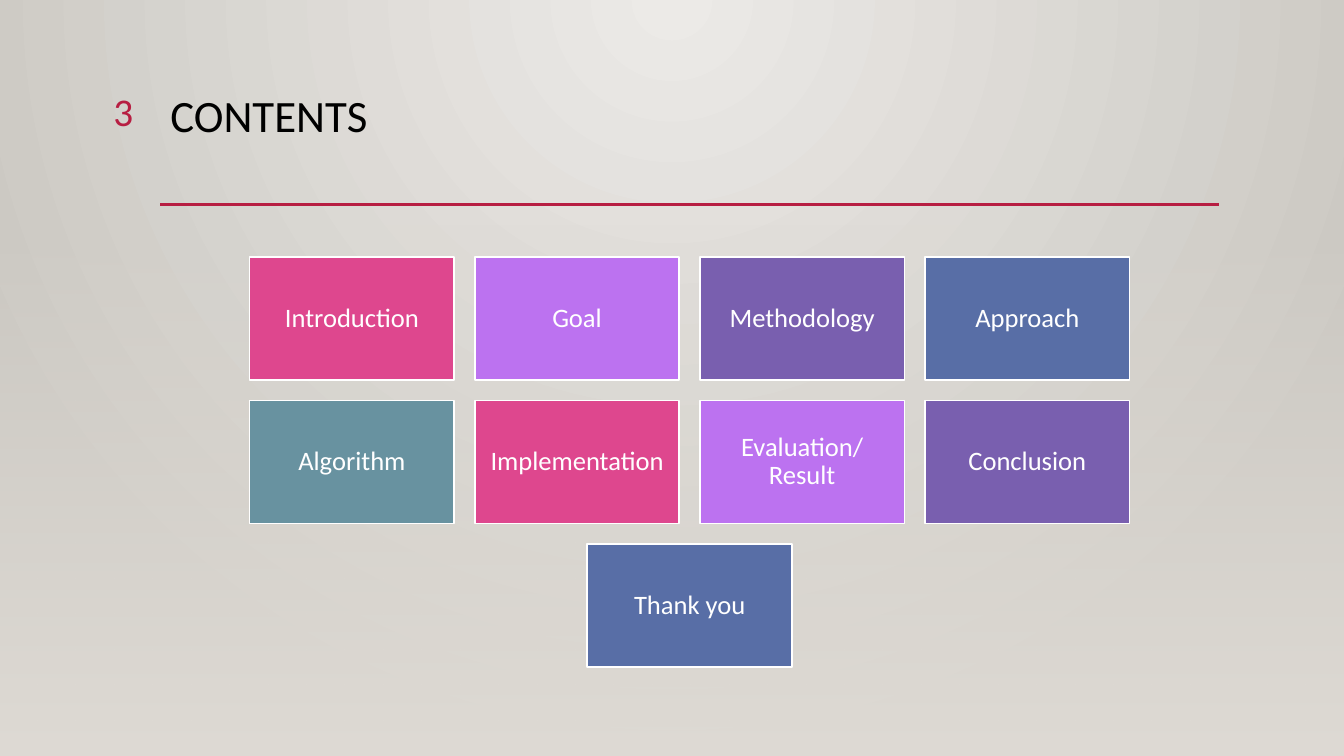
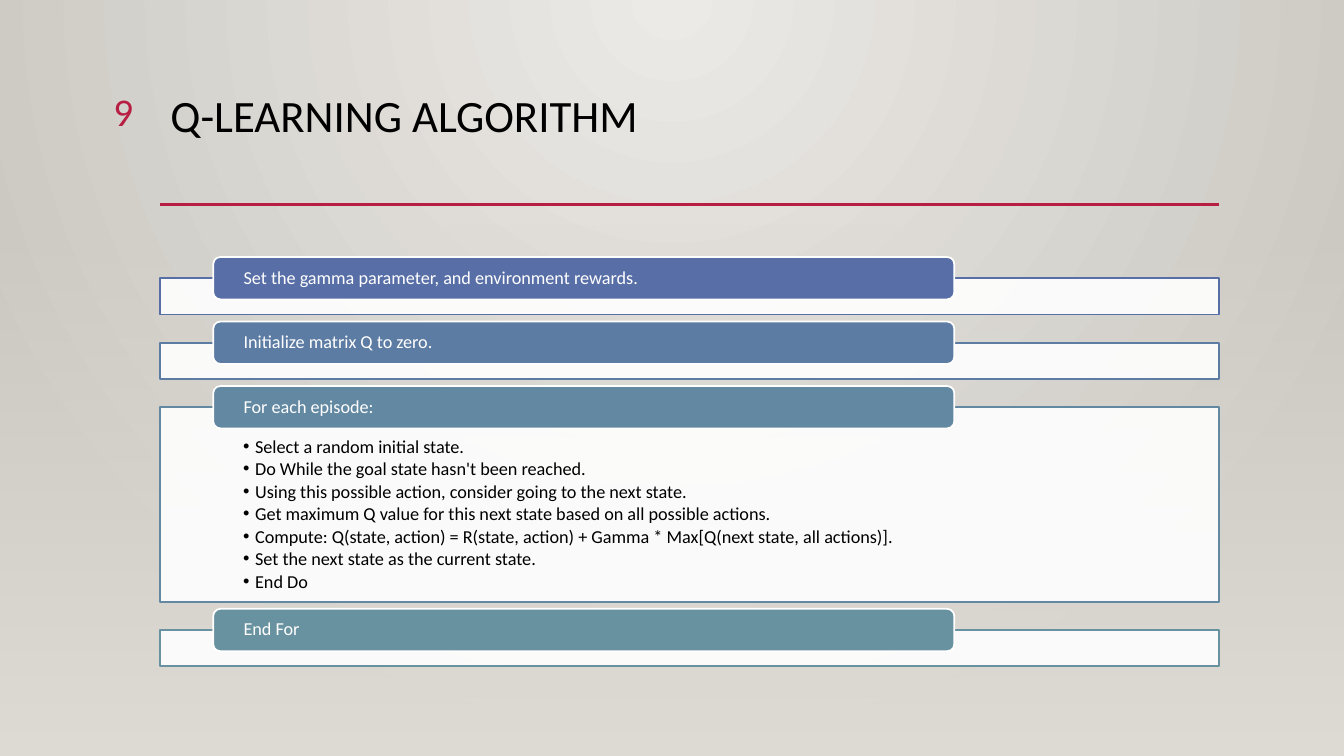
from lxml import etree
from pptx import Presentation
from pptx.dml.color import RGBColor
from pptx.enum.shapes import MSO_CONNECTOR, MSO_SHAPE
from pptx.enum.text import MSO_ANCHOR, MSO_AUTO_SIZE, PP_ALIGN
from pptx.oxml.ns import qn
from pptx.util import Inches, Pt

LEFT, CENTER, RIGHT = PP_ALIGN.LEFT, PP_ALIGN.CENTER, PP_ALIGN.RIGHT
TOP, MIDDLE = MSO_ANCHOR.TOP, MSO_ANCHOR.MIDDLE
NO_AUTOFIT = MSO_AUTO_SIZE.NONE
RECTANGLE, ROUNDED = MSO_SHAPE.RECTANGLE, MSO_SHAPE.ROUNDED_RECTANGLE
STRAIGHT = MSO_CONNECTOR.STRAIGHT

FONT = "Calibri"
BLACK = RGBColor(0x00, 0x00, 0x00)
WHITE = RGBColor(0xFF, 0xFF, 0xFF)
CRIMSON = RGBColor(0xB7, 0x1E, 0x42)
PALE = RGBColor(0xEC, 0xEA, 0xE7)
STONE = RGBColor(0xCA, 0xC7, 0xC1)
SAND = RGBColor(0xDF, 0xDB, 0xD5)
PINK = RGBColor(0xDE, 0x47, 0x8E)
VIOLET = RGBColor(0xBC, 0x72, 0xF0)
PURPLE = RGBColor(0x79, 0x5F, 0xAF)
BLUE = RGBColor(0x58, 0x6E, 0xA6)
STEEL = RGBColor(0x5D, 0x7C, 0xA4)
SLATE = RGBColor(0x63, 0x88, 0xA2)
TEAL = RGBColor(0x68, 0x92, 0xA0)

# Shared grid, in inches
SLIDE_W, SLIDE_H = 13.33, 7.5
MARGIN, CONTENT_W = 1.59, 10.5
RULE_Y, BAND_TOP, CONTENT_TOP = 2.03, 2.21, 2.55


def write(shape, lines, size, color, align=LEFT, anchor=TOP, inset=(0.1, 0.05), after=0):
    """Fill a shape with one paragraph per line; inset is (side, top and bottom)."""
    frame = shape.text_frame
    frame.word_wrap = True
    frame.auto_size = NO_AUTOFIT
    frame.vertical_anchor = anchor
    frame.margin_left = frame.margin_right = Inches(inset[0])
    frame.margin_top = frame.margin_bottom = Inches(inset[1])
    for index, line in enumerate(lines):
        para = frame.add_paragraph() if index else frame.paragraphs[0]
        para.alignment = align
        para.line_spacing = 0.9
        para.space_before, para.space_after = Pt(0), Pt(after)
        span = para.add_run()
        span.text = line
        span.font.name, span.font.size = FONT, Pt(size)
        span.font.color.rgb = color


def paint(shape, fill, line, opacity=100):
    shape.fill.solid()
    shape.fill.fore_color.rgb = fill
    shape.line.color.rgb = line
    shape.line.width = Pt(1.25)
    shape.shadow.inherit = False
    if opacity < 100:
        color = shape._element.spPr.find(qn("a:solidFill"))[0]
        etree.SubElement(color, qn("a:alpha"), val=str(opacity * 1000))


deck = Presentation()
deck.slide_width, deck.slide_height = Inches(SLIDE_W), Inches(SLIDE_H)
master = deck.slide_master

# Master background: light radiating from the top centre
glow = master.background.fill
glow.gradient()
for stop, color in zip(glow.gradient_stops, (PALE, STONE)):
    stop.color.rgb = color
gradient = master.background._cSld.find(".//" + qn("a:gradFill"))
gradient.remove(gradient.find(qn("a:lin")))
radial = etree.SubElement(gradient, qn("a:path"))
radial.set("path", "circle")
etree.SubElement(radial, qn("a:fillToRect"), l="43000", t="0", r="43000", b="100000")

# Slides with their title and number
pages = []
for layout_index, number, title in ((5, "3", "CONTENTS"), (1, "9", "Q-LEARNING ALGORITHM")):
    page = deck.slides.add_slide(deck.slide_layouts[layout_index])
    heading = page.shapes.title
    heading.left, heading.top = Inches(MARGIN), Inches(0.88)
    heading.width, heading.height = Inches(CONTENT_W), Inches(1.15)
    write(heading, [title], 32, BLACK)
    number_box = page.shapes.add_textbox(Inches(0.53), Inches(0.87), Inches(0.89), Inches(0.55))
    write(number_box, [number], 28, CRIMSON, RIGHT)
    pages.append(page)
contents, algorithm = pages

# Band and rule, drawn once and moved to the master behind its placeholders
band = contents.shapes.add_shape(
    RECTANGLE, 0, Inches(BAND_TOP), Inches(SLIDE_W), Inches(SLIDE_H - BAND_TOP))
band.shadow.inherit = False
band.line.fill.background()
band.fill.gradient()
band.fill.gradient_angle = 270
for stop in band.fill.gradient_stops:
    stop.color.rgb = SAND
first_color = band._element.spPr.find(".//" + qn("a:srgbClr"))
etree.SubElement(first_color, qn("a:alpha"), val="0")

rule = contents.shapes.add_connector(
    STRAIGHT, Inches(MARGIN), Inches(RULE_Y), Inches(MARGIN + CONTENT_W), Inches(RULE_Y))
rule.line.color.rgb = CRIMSON
rule.line.width = Pt(2.5)
etree.SubElement(rule._element.spPr, qn("a:effectLst"))
for position, shape in enumerate((band, rule), start=2):
    master.shapes._spTree.insert(position, shape._element)

# Contents: centred rows of topic boxes, colours in rotation
TOPIC_ROWS = (
    ("Introduction", "Goal", "Methodology", "Approach"),
    ("Algorithm", "Implementation", "Evaluation/Result", "Conclusion"),
    ("Thank you",),
)
TOPIC_COLORS = (PINK, VIOLET, PURPLE, BLUE, TEAL)
TOPIC_W, TOPIC_H = 2.03, 1.22
TOPIC_GAP = TOPIC_W / 10
topic_count = 0
for row, topics in enumerate(TOPIC_ROWS):
    row_w = len(topics) * (TOPIC_W + TOPIC_GAP) - TOPIC_GAP
    row_left = MARGIN + (CONTENT_W - row_w) / 2
    row_top = CONTENT_TOP + row * (TOPIC_H + TOPIC_GAP)
    for column, topic in enumerate(topics):
        box = contents.shapes.add_shape(
            RECTANGLE, Inches(row_left + column * (TOPIC_W + TOPIC_GAP)), Inches(row_top),
            Inches(TOPIC_W), Inches(TOPIC_H))
        paint(box, TOPIC_COLORS[topic_count % len(TOPIC_COLORS)], WHITE)
        write(box, [topic], 19, WHITE, CENTER, MIDDLE, (0.08, 0.08))
        topic_count += 1

# Algorithm: stacked frames, each with a tab over its upper edge
EPISODE = (
    "Select a random initial state.",
    "Do While the goal state hasn't been reached.",
    "Using this possible action, consider going to the next state.",
    "Get maximum Q value for this next state based on all possible actions.",
    "Compute: Q(state, action) = R(state, action) + Gamma * Max[Q(next state, all actions)].",
    "Set the next state as the current state.",
    "End Do",
)
STEPS = (
    ("Set the gamma parameter, and environment rewards.", BLUE, ()),
    ("Initialize matrix Q to zero.", STEEL, ()),
    ("For each episode:", SLATE, EPISODE),
    ("End For", TEAL, ()),
)
TAB_W, TAB_H = CONTENT_W * 0.7, 0.42
FRAME_H, EPISODE_H, FRAME_GAP = 0.36, 1.93, 0.28
frame_top = CONTENT_TOP + TAB_H / 2
for label, color, actions in STEPS:
    frame_h = EPISODE_H if actions else FRAME_H
    area = (Inches(MARGIN), Inches(frame_top), Inches(CONTENT_W), Inches(frame_h))
    if actions:
        step = algorithm.placeholders[1]
        step.left, step.top, step.width, step.height = area
        write(step, actions, 13, BLACK, inset=(0.82, 0.1), after=2)
        step.text_frame.margin_top = Inches(0.3)
        for para in step.text_frame.paragraphs:
            properties = para._p.get_or_add_pPr()
            properties.set("marL", str(Inches(0.12)))
            properties.set("indent", str(Inches(-0.12)))
            etree.SubElement(properties, qn("a:buChar"), char="•")
    else:
        step = algorithm.shapes.add_shape(RECTANGLE, *area)
    paint(step, WHITE, color, 90)
    tab = algorithm.shapes.add_shape(
        ROUNDED, Inches(MARGIN + CONTENT_W * 0.05), Inches(frame_top - TAB_H / 2),
        Inches(TAB_W), Inches(TAB_H))
    paint(tab, color, WHITE)
    write(tab, [label], 13, WHITE, LEFT, MIDDLE, (0.28, 0))
    frame_top += frame_h + FRAME_GAP

deck.save("out.pptx")
